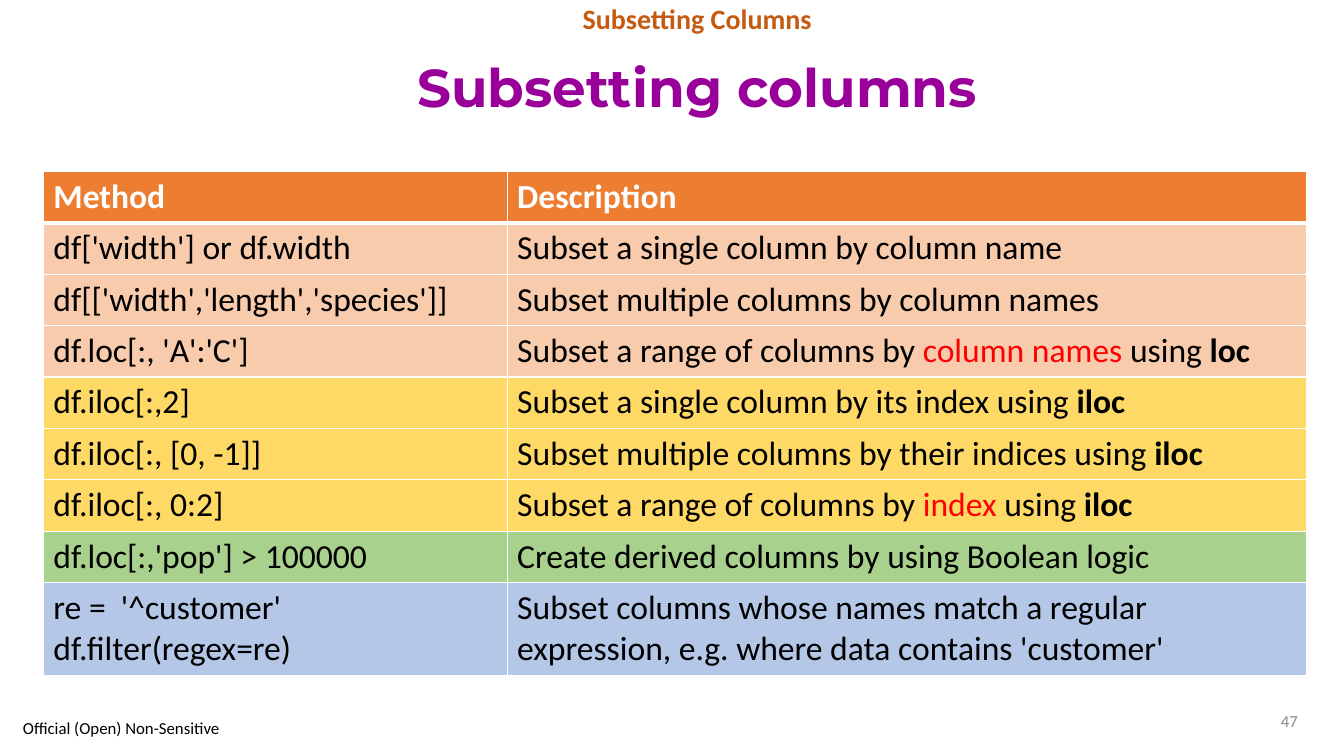
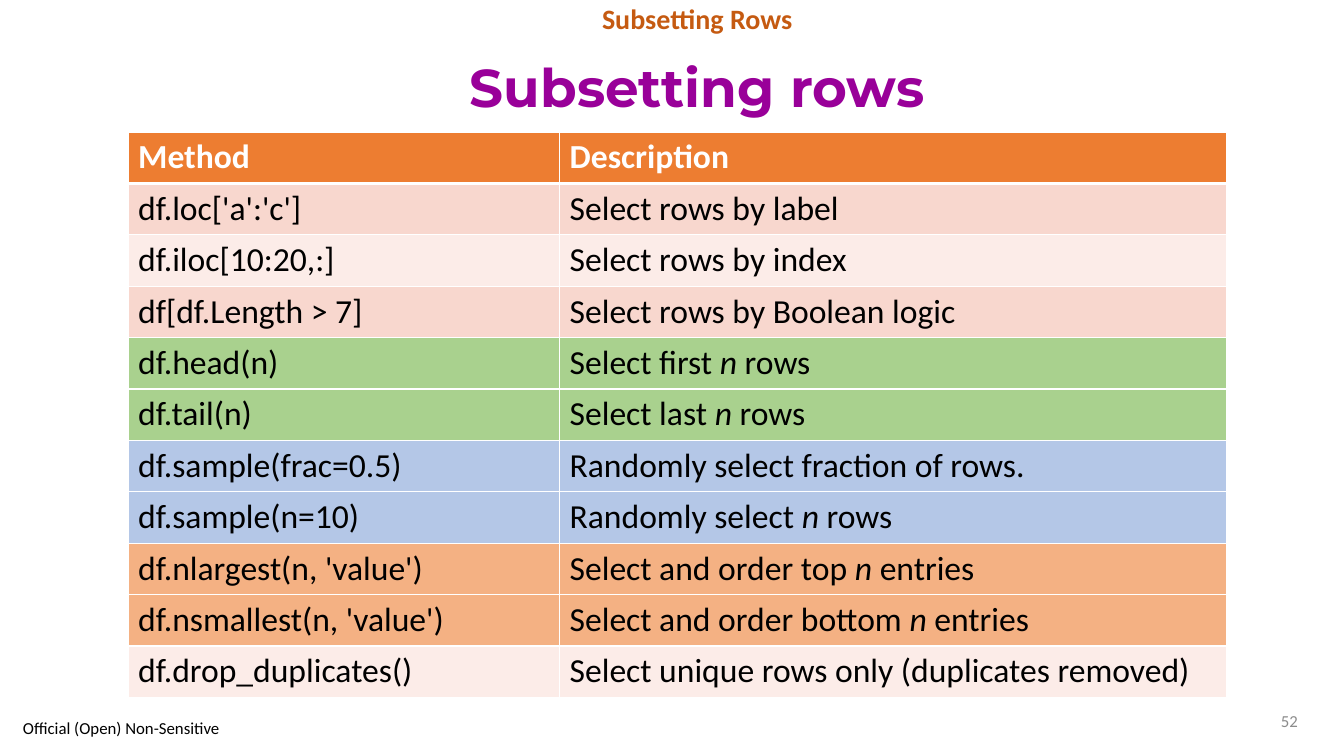
"""Build two reference slides on subsetting the columns and rows of a data frame."""
from typing import NamedTuple

from lxml import etree
from pptx import Presentation
from pptx.dml.color import RGBColor
from pptx.enum.text import MSO_ANCHOR, PP_ALIGN
from pptx.oxml.ns import qn
from pptx.util import Inches, Pt

LEFT, CENTER, RIGHT = PP_ALIGN.LEFT, PP_ALIGN.CENTER, PP_ALIGN.RIGHT
TOP, MIDDLE = MSO_ANCHOR.TOP, MSO_ANCHOR.MIDDLE

WHITE = RGBColor(0xFF, 0xFF, 0xFF)
BLACK = RGBColor(0x00, 0x00, 0x00)
GRAY = RGBColor(0x8C, 0x8C, 0x8C)
RED = RGBColor(0xFF, 0x00, 0x00)
PURPLE = RGBColor(0x99, 0x00, 0x99)
RUST = RGBColor(0xC5, 0x5A, 0x11)
ORANGE = RGBColor(0xED, 0x7D, 0x31)
APRICOT = RGBColor(0xF4, 0xB1, 0x83)
PEACH = RGBColor(0xF8, 0xCB, 0xAD)
PINK = RGBColor(0xF8, 0xD7, 0xCE)
PALE_PINK = RGBColor(0xFC, 0xEC, 0xE8)
GOLD = RGBColor(0xFF, 0xD9, 0x66)
GREEN = RGBColor(0xA9, 0xD1, 0x8E)
BLUE = RGBColor(0xB4, 0xC7, 0xE7)

BODY_FONT, TITLE_FONT = "Calibri", "Montserrat"
TABLE_SIZE = 24
LINE_HEIGHT, CELL_PADDING = 0.41, 0.1
THIN, THICK = 1, 3


class Part(NamedTuple):
    text: str
    color: RGBColor = BLACK
    bold: bool = False
    italic: bool = False


LOC = Part("loc", bold=True)
ILOC = Part("iloc", bold=True)
N = Part("n", italic=True)

COLUMN_METHODS = [
    (PEACH, "df['width'] or df.width", ["Subset a single column by column name"]),
    (PEACH, "df[['width','length','species']]", ["Subset multiple columns by column names"]),
    (PEACH, "df.loc[:, 'A':'C']",
     ["Subset a range of columns by ", Part("column names ", RED), "using ", LOC]),
    (GOLD, "df.iloc[:,2]", ["Subset a single column by its index using ", ILOC]),
    (GOLD, "df.iloc[:, [0, -1]]", ["Subset multiple columns by their indices using ", ILOC]),
    (GOLD, "df.iloc[:, 0:2]",
     ["Subset a range of columns by ", Part("index", RED), " using ", ILOC]),
    (GREEN, "df.loc[:,'pop'] > 100000", ["Create derived columns by using Boolean logic"]),
    (BLUE, "re =  '^customer'\ndf.filter(regex=re)",
     ["Subset columns whose names match a regular expression, "
      "e.g. where data contains 'customer'"]),
]

ROW_METHODS = [
    (PINK, "df.loc['a':'c']", ["Select rows by label"]),
    (PALE_PINK, "df.iloc[10:20,:]", ["Select rows by index"]),
    (PINK, "df[df.Length > 7]", ["Select rows by Boolean logic"]),
    (GREEN, "df.head(n)", ["Select first ", N, " rows"]),
    (GREEN, "df.tail(n)", ["Select last ", N, " rows"]),
    (BLUE, "df.sample(frac=0.5)", ["Randomly select fraction of rows."]),
    (BLUE, "df.sample(n=10)", ["Randomly select ", N, " rows"]),
    (APRICOT, "df.nlargest(n, 'value')", ["Select and order top ", N, " entries"]),
    (APRICOT, "df.nsmallest(n, 'value')", ["Select and order bottom ", N, " entries"]),
    (PALE_PINK, "df.drop_duplicates()", ["Select unique rows only (duplicates removed)"]),
]


def add_part(paragraph, part, size, font=BODY_FONT):
    run = paragraph.add_run()
    run.text = part.text
    run.font.name = font
    run.font.size = Pt(size)
    run.font.color.rgb = part.color
    run.font.bold = part.bold
    run.font.italic = part.italic


def add_label(slide, box, part, size, align=LEFT, anchor=MIDDLE, font=BODY_FONT, spacing=1.0):
    frame = slide.shapes.add_textbox(*map(Inches, box)).text_frame
    frame.word_wrap = True
    frame.vertical_anchor = anchor
    paragraph = frame.paragraphs[0]
    paragraph.alignment = align
    paragraph.line_spacing = spacing
    add_part(paragraph, part, size, font)


def set_borders(cell, top, bottom):
    properties = cell._tc.get_or_add_tcPr()
    for side, width in (("L", THIN), ("R", THIN), ("T", top), ("B", bottom)):
        line = etree.SubElement(properties, qn(f"a:ln{side}"), w=str(Pt(width)))
        fill = etree.SubElement(line, qn("a:solidFill"))
        etree.SubElement(fill, qn("a:srgbClr"), val=str(WHITE))


def fill_cell(cell, paragraphs, color, top=THIN, bottom=THIN):
    set_borders(cell, top, bottom)
    cell.fill.solid()
    cell.fill.fore_color.rgb = color
    frame = cell.text_frame
    for index, parts in enumerate(paragraphs):
        paragraph = frame.add_paragraph() if index else frame.paragraphs[0]
        for part in parts:
            add_part(paragraph, part if isinstance(part, Part) else Part(part), TABLE_SIZE)


def add_method_table(slide, left, top, widths, methods):
    line_counts = [1] + [len(method.splitlines()) for _, method, _ in methods]
    heights = [CELL_PADDING + LINE_HEIGHT * count for count in line_counts]
    box = (left, top, sum(widths), sum(heights))
    table = slide.shapes.add_table(len(heights), len(widths), *map(Inches, box)).table
    table.first_row = table.horz_banding = False
    for column, width in zip(table.columns, widths):
        column.width = Inches(width)
    for row, height in zip(table.rows, heights):
        row.height = Inches(height)

    for column, heading in enumerate(("Method", "Description")):
        fill_cell(table.cell(0, column), [[Part(heading, WHITE, bold=True)]], ORANGE,
                  bottom=THICK)
    for row, (color, method, description) in enumerate(methods, 1):
        upper = THICK if row == 1 else THIN
        code_lines = [[line] for line in method.splitlines()]
        fill_cell(table.cell(row, 0), code_lines, color, top=upper)
        fill_cell(table.cell(row, 1), [description], color, top=upper)


def add_method_slide(deck, topic, number, left, top, widths, methods):
    slide = deck.slides.add_slide(deck.slide_layouts[6])
    title = Part(f"Subsetting {topic}", PURPLE, bold=True)
    section = Part(f"Subsetting {topic.title()}", RUST, bold=True)
    add_label(slide, (0.87, 0.41, 12.09, 0.97), title, 38, CENTER, font=TITLE_FONT, spacing=0.9)
    add_label(slide, (2.62, 0, 8.59, 0.41), section, 20, CENTER, TOP, spacing=0.9)
    add_method_table(slide, left, top, widths, methods)
    add_label(slide, (9.7, 6.95, 3.27, 0.4), Part(str(number), GRAY), 12, RIGHT)
    add_label(slide, (0.13, 7.09, 2.24, 0.26), Part("Official (Open) Non-Sensitive"), 12)


def main():
    deck = Presentation()
    deck.slide_width, deck.slide_height = Inches(13.33), Inches(7.5)
    add_method_slide(deck, "columns", 47, 0.43, 1.7, (4.6, 7.93), COLUMN_METHODS)
    add_method_slide(deck, "rows", 52, 1.27, 1.31, (4.28, 6.62), ROW_METHODS)
    deck.save("out.pptx")


if __name__ == "__main__":
    main()
